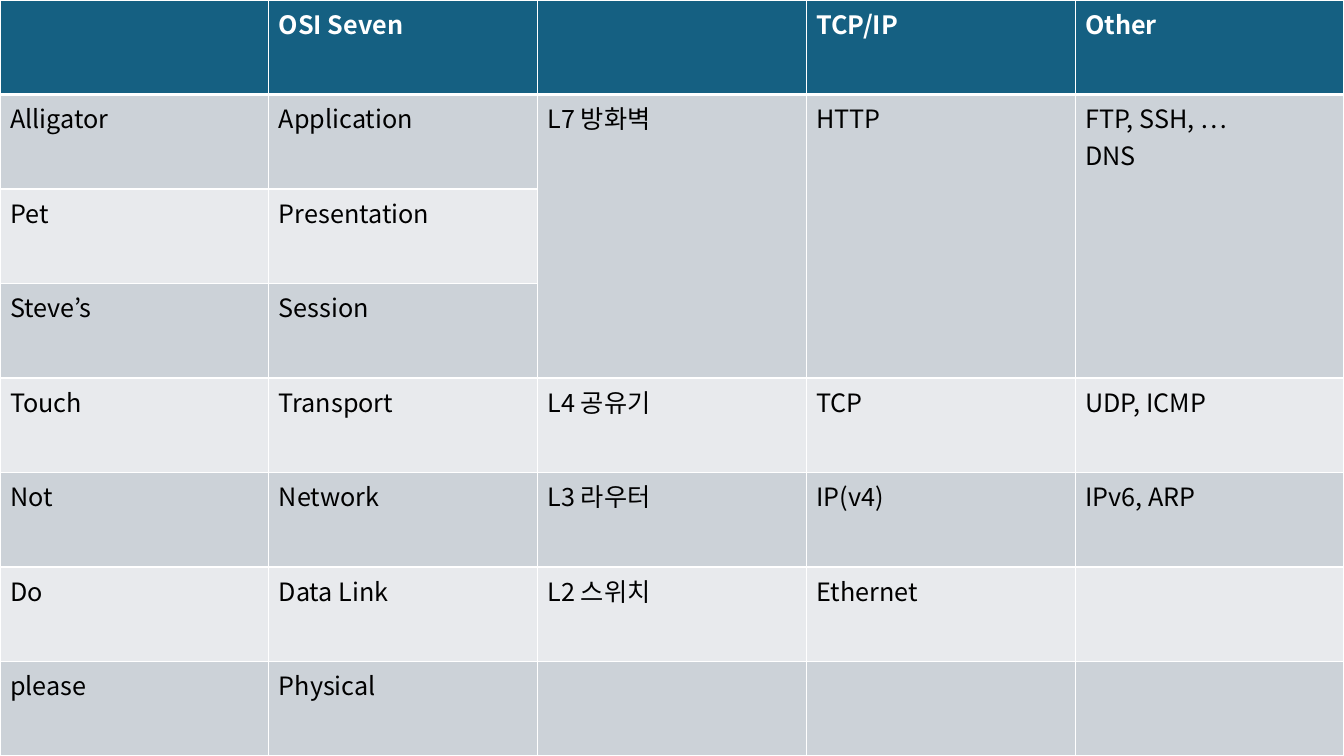
from dataclasses import dataclass

import pptx
import pptx.dml.color
import pptx.oxml.ns
import pptx.table
import pptx.util
from lxml import etree

WIDTH, HEIGHT = 960, 540
FONT = "Noto Sans CJK KR"
WHITE, BLACK = "FFFFFF", "000000"
HEADER_FILL = "156082"
BAND_FILLS = ("CCD2D8", "E8EAED")
THIN, THICK = 1, 3
MERGED_ROWS = (1, 3)
MERGED_COLUMNS = (2, 3, 4)

ROWS = (
    ("", "OSI Seven", "", "TCP/IP", "Other"),
    ("Alligator", "Application", "L7 방화벽", "HTTP", "FTP, SSH, …\nDNS"),
    ("Pet", "Presentation", "", "", ""),
    ("Steve’s", "Session", "", "", ""),
    ("Touch", "Transport", "L4 공유기", "TCP", "UDP, ICMP"),
    ("Not", "Network", "L3 라우터", "IP(v4)", "IPv6, ARP"),
    ("Do", "Data Link", "L2 스위치", "Ethernet", ""),
    ("please", "Physical", "", "", ""),
)


@dataclass(frozen=True)
class RowStyle:
    fill: str
    text_color: str
    bold: bool
    top_border: float
    bottom_border: float


def row_style(row: int) -> RowStyle:
    if row == 0:
        return RowStyle(HEADER_FILL, WHITE, True, THIN, THICK)
    band = BAND_FILLS[(row - 1) % 2]
    return RowStyle(band, BLACK, False, THICK if row == 1 else THIN, THIN)


def color(value: str) -> pptx.dml.color.RGBColor:
    return pptx.dml.color.RGBColor.from_string(value)


def add_element(parent: etree._Element, tag: str, **attributes: str) -> etree._Element:
    return etree.SubElement(parent, pptx.oxml.ns.qn(tag), attributes)


def draw_borders(cell: pptx.table._Cell, style: RowStyle) -> None:
    properties = cell._tc.get_or_add_tcPr()
    widths = {"L": THIN, "R": THIN, "T": style.top_border, "B": style.bottom_border}
    for side, width in widths.items():
        line = add_element(properties, f"a:ln{side}", w=str(int(pptx.util.Pt(width))))
        add_element(add_element(line, "a:solidFill"), "a:srgbClr", val=WHITE)


def write_text(cell: pptx.table._Cell, text: str, style: RowStyle) -> None:
    cell.text_frame.text = text
    font_format = {"name": FONT, "size": pptx.util.Pt(18), "bold": style.bold}
    for paragraph in cell.text_frame.paragraphs:
        for run in paragraph.runs:
            run.font.color.rgb = color(style.text_color)
            for name, value in font_format.items():
                setattr(run.font, name, value)
            add_element(run._r.get_or_add_rPr(), "a:ea", typeface=FONT)


def draw_cell(cell: pptx.table._Cell, text: str, style: RowStyle) -> None:
    draw_borders(cell, style)
    cell.fill.solid()
    cell.fill.fore_color.rgb = color(style.fill)
    if text:
        write_text(cell, text, style)


def main() -> None:
    presentation = pptx.Presentation()
    presentation.slide_width = pptx.util.Pt(WIDTH)
    presentation.slide_height = pptx.util.Pt(HEIGHT)
    blank_layout = presentation.slide_layouts[6]
    slide = presentation.slides.add_slide(blank_layout)

    layer_table = slide.shapes.add_table(
        len(ROWS), len(ROWS[0]), 0, 0, pptx.util.Pt(WIDTH), pptx.util.Pt(HEIGHT)
    ).table
    for row, texts in enumerate(ROWS):
        for column, text in enumerate(texts):
            draw_cell(layer_table.cell(row, column), text, row_style(row))

    first_row, last_row = MERGED_ROWS
    for column in MERGED_COLUMNS:
        layer_table.cell(first_row, column).merge(layer_table.cell(last_row, column))

    presentation.save("out.pptx")


if __name__ == "__main__":
    main()
